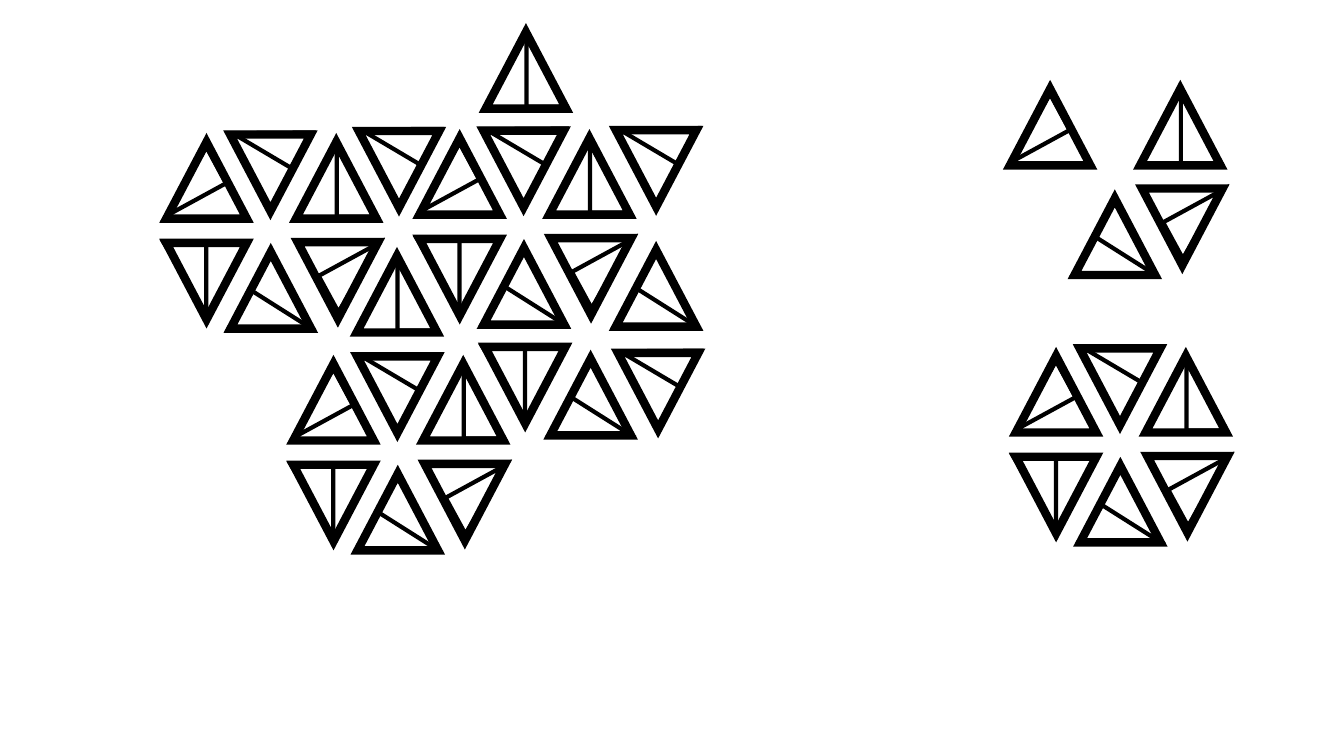
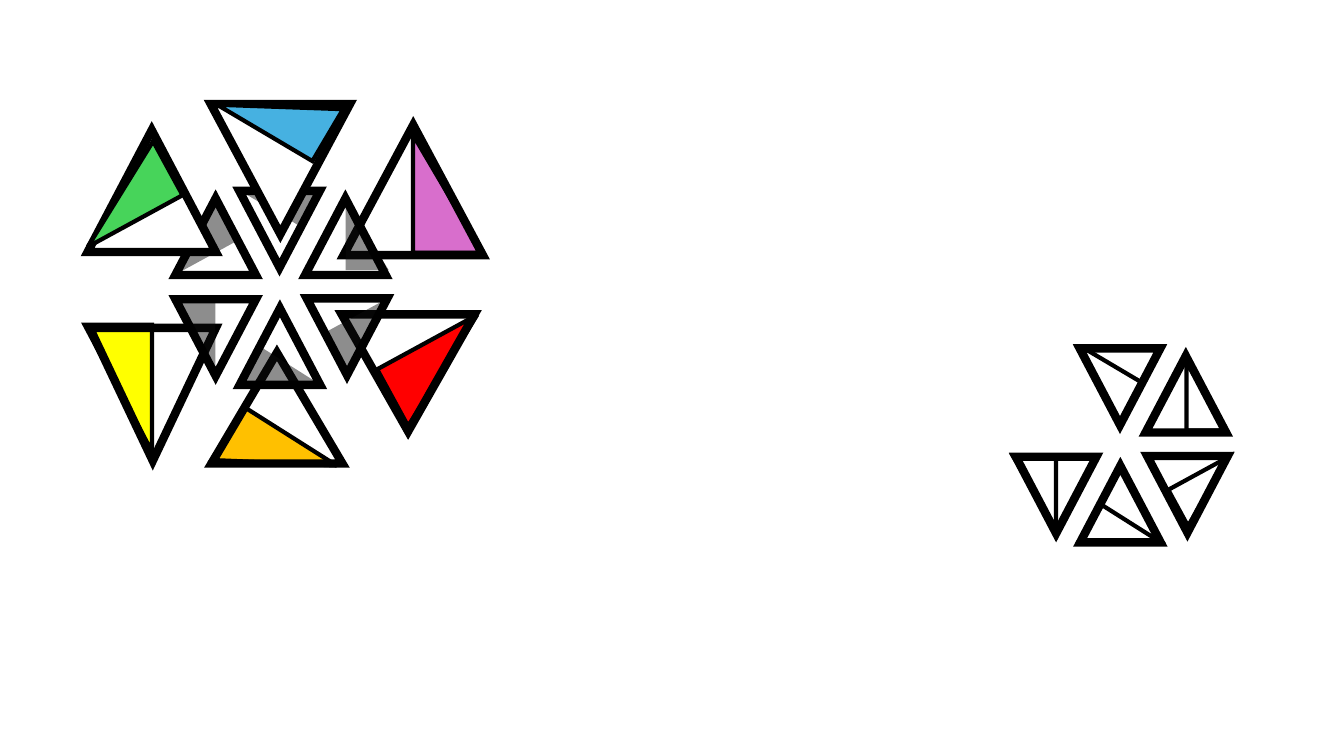
from collections import namedtuple

from lxml import etree
from pptx import Presentation
from pptx.dml.color import RGBColor
from pptx.enum.shapes import MSO_SHAPE
from pptx.oxml.ns import qn
from pptx.util import Cm, Pt

TRIANGLE = MSO_SHAPE.ISOSCELES_TRIANGLE
RIGHT_TRIANGLE = MSO_SHAPE.RIGHT_TRIANGLE

COLORS = {
    "line": "000000",
    "shade": "0D0D0D",
    "white": "FFFFFF",
    "pink": "D86ECC",
    "red": "FF0000",
    "yellow": "FFFF00",
    "orange": "FFC000",
    "blue": "46B1E1",
    "green": "47D45A",
}
OUTLINE_WIDTH = 6
HALF_WIDTH = 3
SHADE_OPACITY = 47
TILE_SIZE = (2.03, 1.93)

Pose = namedtuple("Pose", "outline_turn half_turn ring_offset half_box shade_box")
POSES = {
    "left_up": Pose(0, 241.4, (0, 0), (-0.02, 0.13, 1.04, 1.73), (-0.03, 0.15, 1.09, 1.73)),
    "right_up": Pose(0, 0, (3.27, 0), (1.03, 0.15, 1.02, 1.73), (1.02, 0.08, 1.09, 1.73)),
    "top_down": Pose(180, 300.6, (1.61, -0.19), (0.54, -0.91, 1.04, 1.73), (0.51, -0.89, 1.09, 1.73)),
    "right_down": Pose(180, 61.4, (3.31, 2.52), (1.02, 0.03, 1.04, 1.73), (0.99, 0.03, 1.09, 1.73)),
    "left_down": Pose(180, 180, (0, 2.54), (-0.08, -0.03, 1.09, 1.83), (-0.08, 0.05, 1.09, 1.73)),
    "bottom_up": Pose(0, 122.3, (1.62, 2.77), (0.43, 1.05, 1.09, 1.7), (0.41, 1.02, 1.09, 1.73)),
}

RINGS = [(4.19, 3.58), (10.57, 3.48), (7.39, 9.17)]
SIDE_RING = (25.6, 8.97)
SHADED_RING = (4.42, 5)
SINGLE_TILES = [
    ("left_up", 25.45, 2.24),
    ("right_up", 28.73, 2.24),
    ("top_down", 15.57, 8.89),
    ("right_down", 28.78, 4.75),
    ("left_down", 12.22, 8.74),
    ("bottom_up", 27.08, 5),
    ("right_up", 8.99, 6.45),
    ("top_down", 9.04, 3.3),
    ("right_up", 12.24, 0.81),
    ("top_down", 15.52, 3.28),
    ("bottom_up", 15.52, 6.3),
    ("bottom_up", 13.87, 9.04),
]
BACK_TILES = [
    ("right_up", (8.66, 3.15, 3.51, 3.28), (1.75, 0.25, 1.75, 2.97), "pink"),
    ("right_down", (8.61, 7.92, 3.35, 2.95), (1.73, -0.02, 1.63, 2.87), "red"),
    ("left_down", (2.26, 8.26, 3.18, 3.35), (-0.13, -0.08, 1.7, 3.2), "yellow"),
    ("bottom_up", (5.33, 8.89, 3.3, 2.79), (0.79, 1.4, 1.57, 2.74), "orange"),
]
FRONT_TILES = [
    ("top_down", (5.31, 2.62, 3.51, 3.28), (0.99, -1.32, 1.52, 2.79), "blue"),
    ("left_up", (2.21, 3.28, 3.23, 3.07), (0.05, 0.25, 1.55, 2.72), "green"),
]


def add_triangle(group, kind, box, turn, fill=None, width=None):
    """Add one triangle with an optional fill and a sharp-cornered line."""
    shape = group.shapes.add_shape(kind, *(Cm(length) for length in box))
    shape.rotation = turn
    shape.shadow.inherit = False
    if fill:
        shape.fill.solid()
        shape.fill.fore_color.rgb = RGBColor.from_string(COLORS[fill])
    else:
        shape.fill.background()
    if width:
        shape.line.width = Pt(width)
        shape.line.color.rgb = RGBColor.from_string(COLORS["line"])
        line = shape.line.fill._xPr
        etree.SubElement(line, qn("a:miter"), lim="800000")
    else:
        shape.line.fill.background()
    return shape


def add_outline(group, pose, box, fill=None):
    """Add the thick outer triangle of a tile."""
    add_triangle(group, TRIANGLE, box, pose.outline_turn, fill, OUTLINE_WIDTH)


def add_half(group, pose, box, half_box, fill=None, width=HALF_WIDTH):
    """Add the half triangle, placed relative to its tile's box."""
    left, top, *size = half_box
    place = (box[0] + left, box[1] + top, *size)
    return add_triangle(group, RIGHT_TRIANGLE, place, pose.half_turn, fill, width)


def add_tile(group, name, left, top):
    """Add a small unfilled tile."""
    pose = POSES[name]
    box = (left, top, *TILE_SIZE)
    add_half(group, pose, box, pose.half_box)
    add_outline(group, pose, box)


def add_shaded_tile(group, name, left, top):
    """Add a small tile with a translucent half."""
    pose = POSES[name]
    box = (left, top, *TILE_SIZE)
    half = add_half(group, pose, box, pose.shade_box, "shade", None)
    color = half.fill._xPr.find(qn("a:solidFill"))[0]
    etree.SubElement(color, qn("a:alpha"), val=str(SHADE_OPACITY * 1000))
    add_outline(group, pose, box)


def add_ring(slide, origin, names=tuple(POSES), draw_tile=add_tile):
    """Add a hexagonal ring of tiles around its origin tile."""
    group = slide.shapes.add_group_shape()
    for name in names:
        left, top = POSES[name].ring_offset
        draw_tile(group, name, origin[0] + left, origin[1] + top)


def add_colored_tile(slide, name, box, half_box, color, in_front=False):
    """Add a large tile with a colored half behind or in front."""
    group = slide.shapes.add_group_shape()
    pose = POSES[name]
    if in_front:
        add_outline(group, pose, box, "white")
    add_half(group, pose, box, half_box, color)
    if not in_front:
        add_outline(group, pose, box)


def build_pattern_slide(slide):
    """Lay out the tiling and its loose tiles."""
    for origin in [*RINGS, SIDE_RING]:
        add_ring(slide, origin)
    for name, left, top in SINGLE_TILES:
        add_tile(slide.shapes.add_group_shape(), name, left, top)


def build_color_slide(slide):
    """Lay out the colored tiles around the shaded ring."""
    for tile in BACK_TILES:
        add_colored_tile(slide, *tile)
    add_ring(slide, SHADED_RING, draw_tile=add_shaded_tile)
    for tile in FRONT_TILES:
        add_colored_tile(slide, *tile, in_front=True)
    add_ring(slide, SIDE_RING, [name for name in POSES if name != "left_up"])


def main():
    """Build and save the presentation."""
    presentation = Presentation()
    presentation.slide_width = Cm(33.87)
    presentation.slide_height = Cm(19.05)
    blank = presentation.slide_layouts[6]
    for build in (build_pattern_slide, build_color_slide):
        build(presentation.slides.add_slide(blank))
    presentation.save("out.pptx")


if __name__ == "__main__":
    main()
